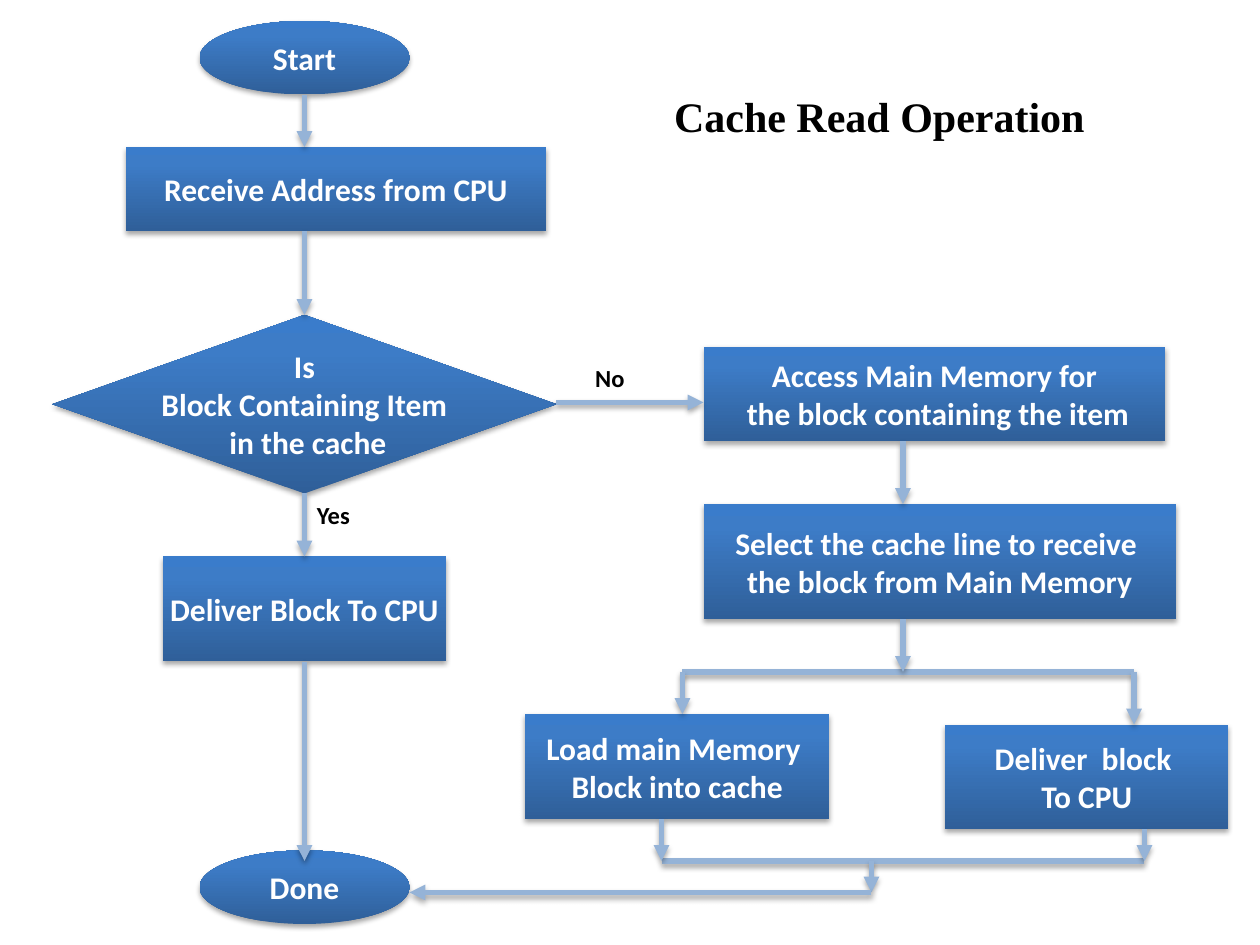
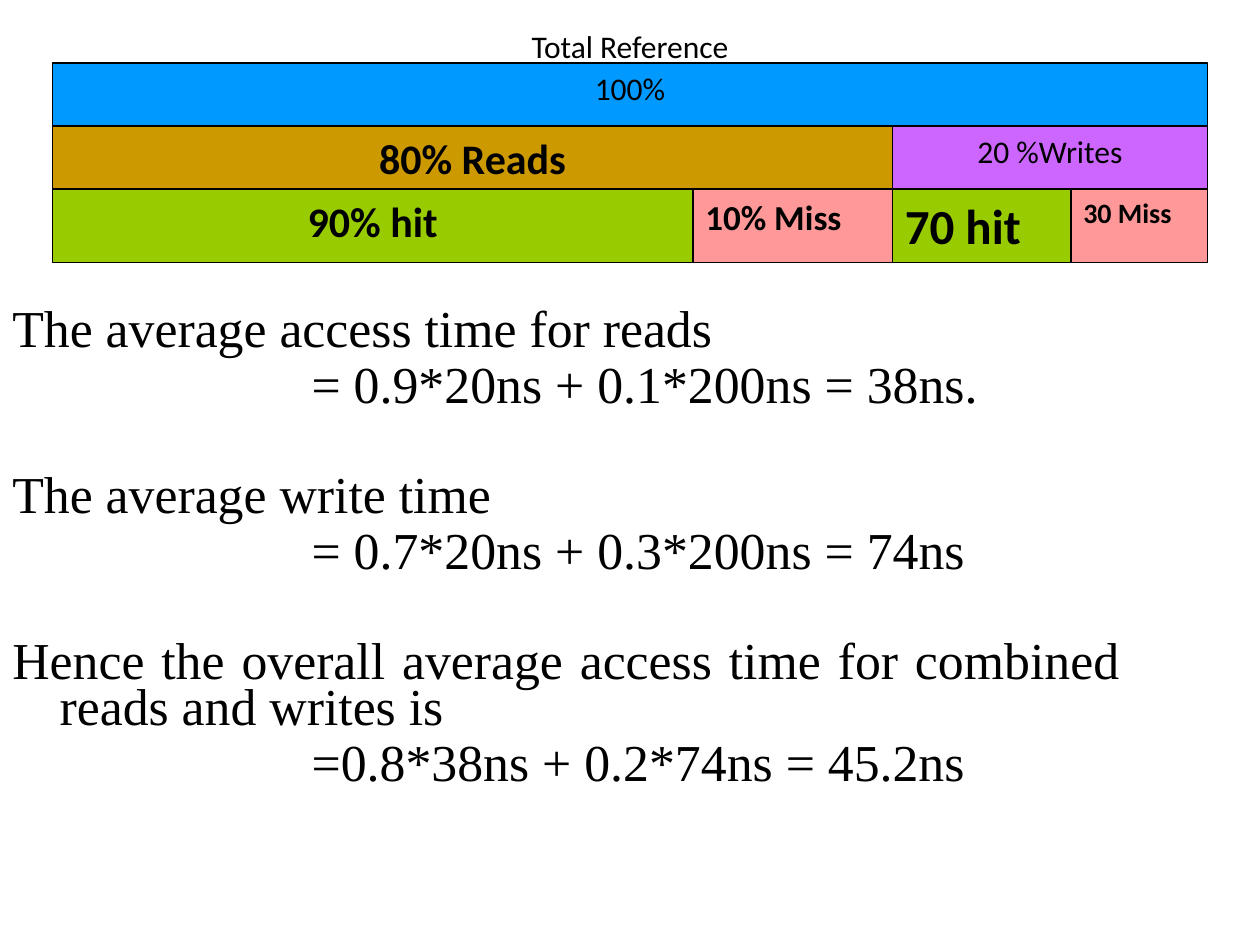
from copy import deepcopy

from pptx import Presentation
from pptx.dml.color import RGBColor
from pptx.enum.shapes import MSO_CONNECTOR, MSO_SHAPE
from pptx.enum.text import MSO_ANCHOR, PP_ALIGN
from pptx.oxml import parse_xml
from pptx.oxml.ns import nsdecls, qn
from pptx.util import Pt

BLACK = RGBColor(0x00, 0x00, 0x00)
WHITE = RGBColor(0xFF, 0xFF, 0xFF)
PALE = RGBColor(0x95, 0xB3, 0xD7)
BLUE = RGBColor(0x00, 0x99, 0xFF)
GOLD = RGBColor(0xCC, 0x99, 0x00)
PURPLE = RGBColor(0xCC, 0x66, 0xFF)
GREEN = RGBColor(0x99, 0xCC, 0x00)
PINK = RGBColor(0xFF, 0x99, 0x99)
STOPS = [
    (0, RGBColor(0x2F, 0x5F, 0x99)),
    (0.8, RGBColor(0x3D, 0x7C, 0xC7)),
    (1, RGBColor(0x3A, 0x7C, 0xCB)),
]
SANS = "Calibri"
SERIF = "Times New Roman"
LEFT, MID = PP_ALIGN.LEFT, PP_ALIGN.CENTER


def write(shape, text, size, bold=False, color=BLACK, align=LEFT, font=SANS):
    frame = shape.text_frame
    frame.text = text
    for para in frame.paragraphs:
        para.alignment = align
        for run in para.runs:
            run.font.name = font
            run.font.size = Pt(size)
            run.font.bold = bold
            run.font.color.rgb = color
    return frame


def shade(shape):
    """Give a shape or connector the soft shadow of the flow chart."""
    shape._element.spPr.append(parse_xml(
        f'<a:effectLst {nsdecls("a")}>'
        f'<a:outerShdw blurRad="{Pt(3.1)}" dist="{Pt(1.8)}" dir="5400000" rotWithShape="0">'
        '<a:srgbClr val="000000"><a:alpha val="35000"/></a:srgbClr>'
        '</a:outerShdw></a:effectLst>'))


deck = Presentation()
deck.slide_width = Pt(720)
deck.slide_height = Pt(540)

# Slide 1: flow chart
slide = deck.slides.add_slide(deck.slide_layouts[5])
title = slide.shapes.title
title.left, title.top, title.width, title.height = Pt(378), Pt(48), Pt(342), Pt(36)
frame = write(title, "Cache Read Operation", 24, True, font=SERIF)
frame.vertical_anchor = MSO_ANCHOR.TOP

OVAL, RECT, TEST = MSO_SHAPE.OVAL, MSO_SHAPE.RECTANGLE, MSO_SHAPE.FLOWCHART_DECISION
steps = [
    (OVAL, 114, 12, 120, 42, "Start"),
    (RECT, 72, 84, 240, 48, "Receive Address from CPU"),
    (TEST, 30, 180, 288, 102, "Is\nBlock Containing Item\n in the cache"),
    (RECT, 93, 318, 162, 60, "Deliver Block To CPU"),
    (RECT, 402, 198, 264, 54, "Access Main Memory for\n the block containing the item"),
    (RECT, 402, 288, 270, 66, "Select the cache line to receive \nthe block from Main Memory"),
    (RECT, 300, 408, 174, 60, "Load main Memory \nBlock into cache"),
    (RECT, 540, 414, 162, 60, "Deliver  block \nTo CPU"),
    (OVAL, 114, 486, 120, 42, "Done"),
]
joints = {}
for kind, x, y, w, h, text in steps:
    step = slide.shapes.add_shape(kind, Pt(x), Pt(y), Pt(w), Pt(h))
    step.fill.gradient()
    step.fill.gradient_angle = 90
    marks = step._element.spPr.find(".//" + qn("a:gsLst"))
    marks.append(deepcopy(marks[-1]))
    for stop, (place, color) in zip(step.fill.gradient_stops, STOPS):
        stop.position = place
        stop.color.rgb = color
    step.line.fill.background()
    shade(step)
    frame = write(step, text, 18, True, WHITE, MID)
    frame.word_wrap = False
    frame.vertical_anchor = MSO_ANCHOR.MIDDLE
    if kind != OVAL:
        sides = [(x + w / 2, y), (x, y + h / 2), (x + w / 2, y + h), (x + w, y + h / 2)]
        for site, point in enumerate(sides):
            joints[point] = step, site

arrows = [
    (174, 54, 174, 84), (174, 132, 174, 180), (174, 282, 174, 318),
    (174, 378, 174, 492), (318, 230, 402, 230), (516, 252, 516, 288),
    (516, 354, 516, 384), (390, 384, 390, 408), (648, 384, 648, 414),
    (378, 468, 378, 492), (654, 474, 654, 492), (498, 492, 498, 510),
    (498, 510, 234, 510),
]
bars = [(390, 384, 648, 384), (378, 492, 654, 492)]
for ends in bars + arrows:
    x1, y1, x2, y2 = ends
    link = slide.shapes.add_connector(
        MSO_CONNECTOR.STRAIGHT, Pt(x1), Pt(y1), Pt(x2), Pt(y2))
    link.line.color.rgb = PALE
    link.line.width = Pt(3)
    if ends in arrows:
        link.line._get_or_add_ln().append(
            parse_xml(f'<a:tailEnd {nsdecls("a")} type="triangle"/>'))
    shade(link)
    if (x1, y1) in joints:
        link.begin_connect(*joints[x1, y1])
    if (x2, y2) in joints:
        link.end_connect(*joints[x2, y2])

for text, x, y, w in [("Yes", 174, 282, 40), ("No", 333, 204, 33)]:
    label = slide.shapes.add_textbox(Pt(x), Pt(y), Pt(w), Pt(24))
    write(label, text, 14, True).word_wrap = False

# Slide 2: share of hits and misses, with average times
slide = deck.slides.add_slide(deck.slide_layouts[6])
rows = [
    (36, 36, [("100%", 660, BLUE, 18, False, MID)]),
    (72, 36, [("80% Reads", 480, GOLD, 24, True, MID),
              ("20 %Writes", 180, PURPLE, 18, False, MID)]),
    (108, 42, [("90% hit", 366, GREEN, 24, True, MID),
               ("10% Miss", 114, PINK, 20, True, LEFT),
               ("70 hit", 102, GREEN, 28, True, LEFT),
               ("30 Miss", 78, PINK, 16, True, LEFT)]),
]
for y, h, cells in rows:
    x = 30
    for text, w, color, size, bold, align in cells:
        cell = slide.shapes.add_shape(RECT, Pt(x), Pt(y), Pt(w), Pt(h))
        cell.shadow.inherit = False
        cell.fill.solid()
        cell.fill.fore_color.rgb = color
        cell.line.color.rgb = BLACK
        cell.line.width = Pt(1)
        frame = write(cell, text, size, bold, align=align)
        frame.vertical_anchor = MSO_ANCHOR.TOP
        frame.word_wrap = True
        x += w

label = slide.shapes.add_textbox(Pt(60), Pt(12), Pt(600), Pt(29))
write(label, "Total Reference", 18, align=MID).word_wrap = True

times = [
    "The average access time for reads",
    "= 0.9*20ns + 0.1*200ns = 38ns.",
    "The average write time",
    "= 0.7*20ns + 0.3*200ns = 74ns",
    "Hence the overall average access time for combined reads and writes is",
    "=0.8*38ns + 0.2*74ns = 45.2ns",
]
body = slide.shapes.add_textbox(Pt(0), Pt(174), Pt(648), Pt(308))
frame = write(body, "\n".join(times), 29.6, align=PP_ALIGN.JUSTIFY, font=SERIF)
frame.word_wrap = True
for i, para in enumerate(frame.paragraphs):
    sum_line = i % 2 == 1
    para.line_spacing = 0.74
    para.space_before = Pt(5.7 if sum_line else 36.6 if i else 0)
    props = para._p.get_or_add_pPr()
    props.set("marL", str(Pt(171 if sum_line else 27)))
    props.set("indent", str(Pt(0 if sum_line else -27)))

deck.save("out.pptx")
